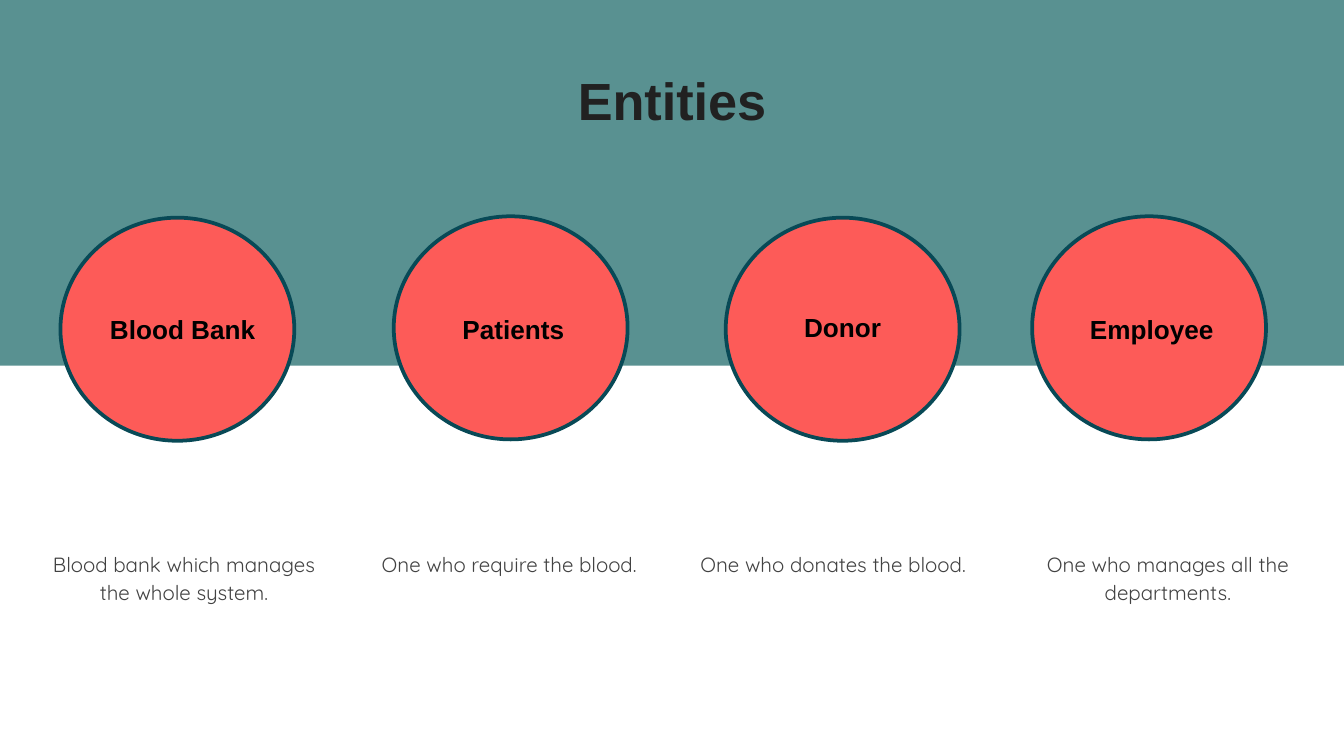
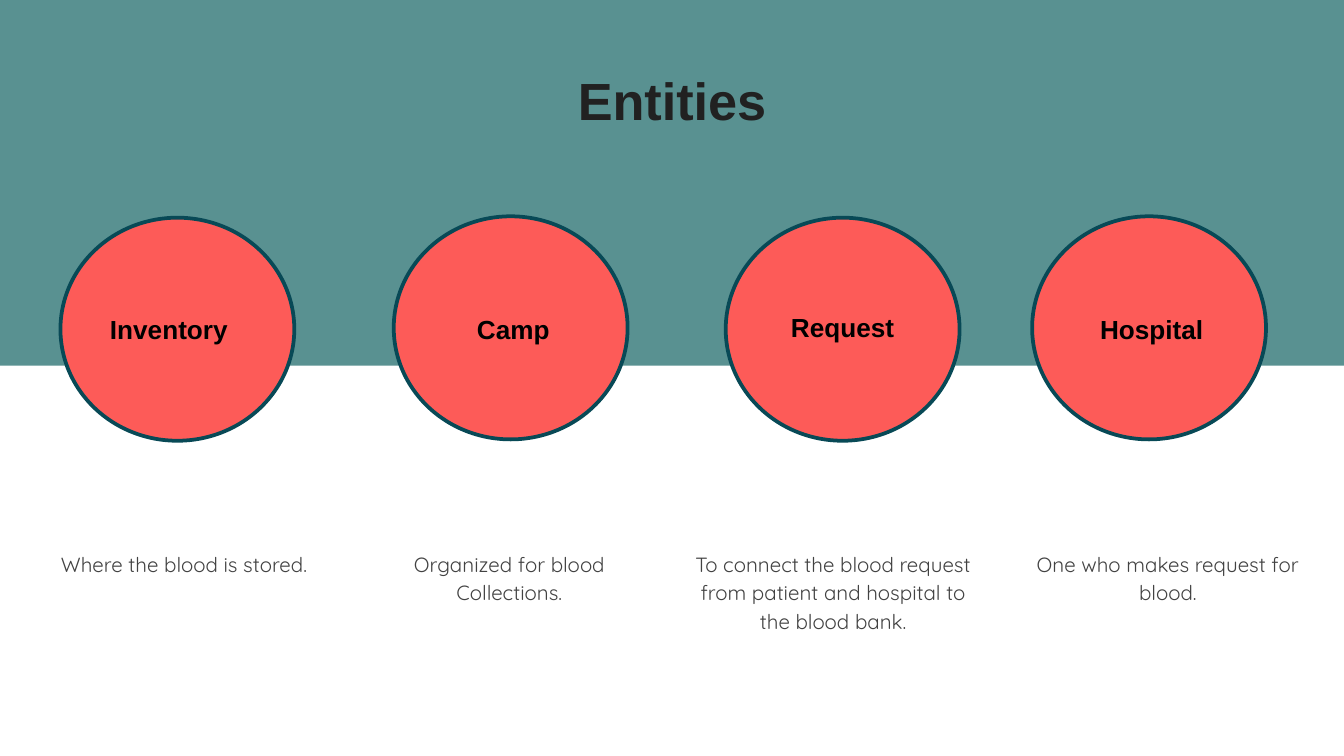
from pptx import Presentation
from pptx.dml.color import RGBColor
from pptx.enum.shapes import MSO_SHAPE as Shape
from pptx.enum.text import MSO_ANCHOR as Anchor, MSO_AUTO_SIZE as AutoSize, PP_ALIGN as Align
from pptx.util import Inches, Pt

TITLE = "Entities"
SLIDES = [
    [
        ("Blood Bank", "Blood bank which manages the whole system."),
        ("Patients", "One who require the blood."),
        ("Donor", "One who donates the blood."),
        ("Employee", "One who manages all the departments."),
    ],
    [
        ("Inventory", "Where the blood is stored."),
        ("Camp", "Organized for blood Collections."),
        ("Request", "To connect the blood request from patient and hospital to the blood bank."),
        ("Hospital", "One who makes request for blood."),
    ],
]

# Per column: circle (left, top), label (left, top), label alignment, description left
COLUMNS = [
    ((0.45, 1.62), (0.72, 2.28), Align.LEFT, 0.18),
    ((2.93, 1.61), (3.17, 2.28), Align.CENTER, 2.6),
    ((5.4, 1.62), (5.62, 2.27), Align.CENTER, 5.01),
    ((7.68, 1.61), (7.92, 2.28), Align.CENTER, 7.5),
]
CIRCLE_SIZE = (1.74, 1.66)
LABEL_SIZE = (1.3, 0.34)
DESCRIPTION_TOP, DESCRIPTION_SIZE = 3.98, (2.38, 1.26)

BAND, CIRCLE, OUTLINE = "599191", "FD5B58", "084956"
TITLE_STYLE = {"size": Pt(28), "name": "Arial", "bold": True}, "212121"
LABEL_STYLE = {"size": Pt(14), "name": "Arial", "bold": True}, "000000"
DESCRIPTION_STYLE = {"size": Pt(11), "name": "Quicksand"}, "424242"


def color(value):
    return RGBColor.from_string(value)


def set_all(target, values):
    for name, value in values.items():
        setattr(target, name, value)


def add_filled(slide, kind, position, size, fill, line=None):
    shape = slide.shapes.add_shape(kind, *map(Inches, position + size))
    shape.shadow.inherit = False
    shape.fill.solid()
    shape.fill.fore_color.rgb = color(fill)
    if line:
        shape.line.color.rgb = color(line)
        shape.line.width = Pt(2)
    else:
        shape.line.fill.background()


def add_text(slide, text, position, size, style, frame=None, paragraph=None):
    """Add a text box; frame and paragraph hold extra format values."""
    box = slide.shapes.add_textbox(*map(Inches, position + size))
    text_frame = box.text_frame
    set_all(text_frame, {"word_wrap": True, **(frame or {})})
    first = text_frame.paragraphs[0]
    set_all(first, {"alignment": Align.CENTER, **(paragraph or {})})
    run = first.add_run()
    run.text = text
    font, font_color = style
    set_all(run.font, font)
    run.font.color.rgb = color(font_color)


def add_entity(slide, entity, column):
    label, description = entity
    circle_at, label_at, alignment, description_left = column
    add_filled(slide, Shape.OVAL, circle_at, CIRCLE_SIZE, CIRCLE, OUTLINE)
    add_text(slide, label, label_at, LABEL_SIZE, LABEL_STYLE,
             {"auto_size": AutoSize.SHAPE_TO_FIT_TEXT}, {"alignment": alignment})
    add_text(slide, description, (description_left, DESCRIPTION_TOP),
             DESCRIPTION_SIZE, DESCRIPTION_STYLE,
             {"margin_top": Inches(0.1), "margin_bottom": Inches(0.1)},
             {"line_spacing": 1.15, "space_after": Pt(12)})


def add_entities_slide(presentation, entities):
    slide = presentation.slides.add_slide(presentation.slide_layouts[6])
    add_filled(slide, Shape.RECTANGLE, (0, 0), (10.02, 2.72), BAND)
    add_text(slide, TITLE, (0.34, 0.41), (9.32, 0.8), TITLE_STYLE,
             {"vertical_anchor": Anchor.MIDDLE,
              "margin_top": Inches(0.1), "margin_bottom": Inches(0.23)})
    for entity, column in zip(entities, COLUMNS):
        add_entity(slide, entity, column)


def main():
    presentation = Presentation()
    presentation.slide_width = Inches(10)
    presentation.slide_height = presentation.slide_width * 9 // 16
    for entities in SLIDES:
        add_entities_slide(presentation, entities)
    presentation.save("out.pptx")


if __name__ == "__main__":
    main()
